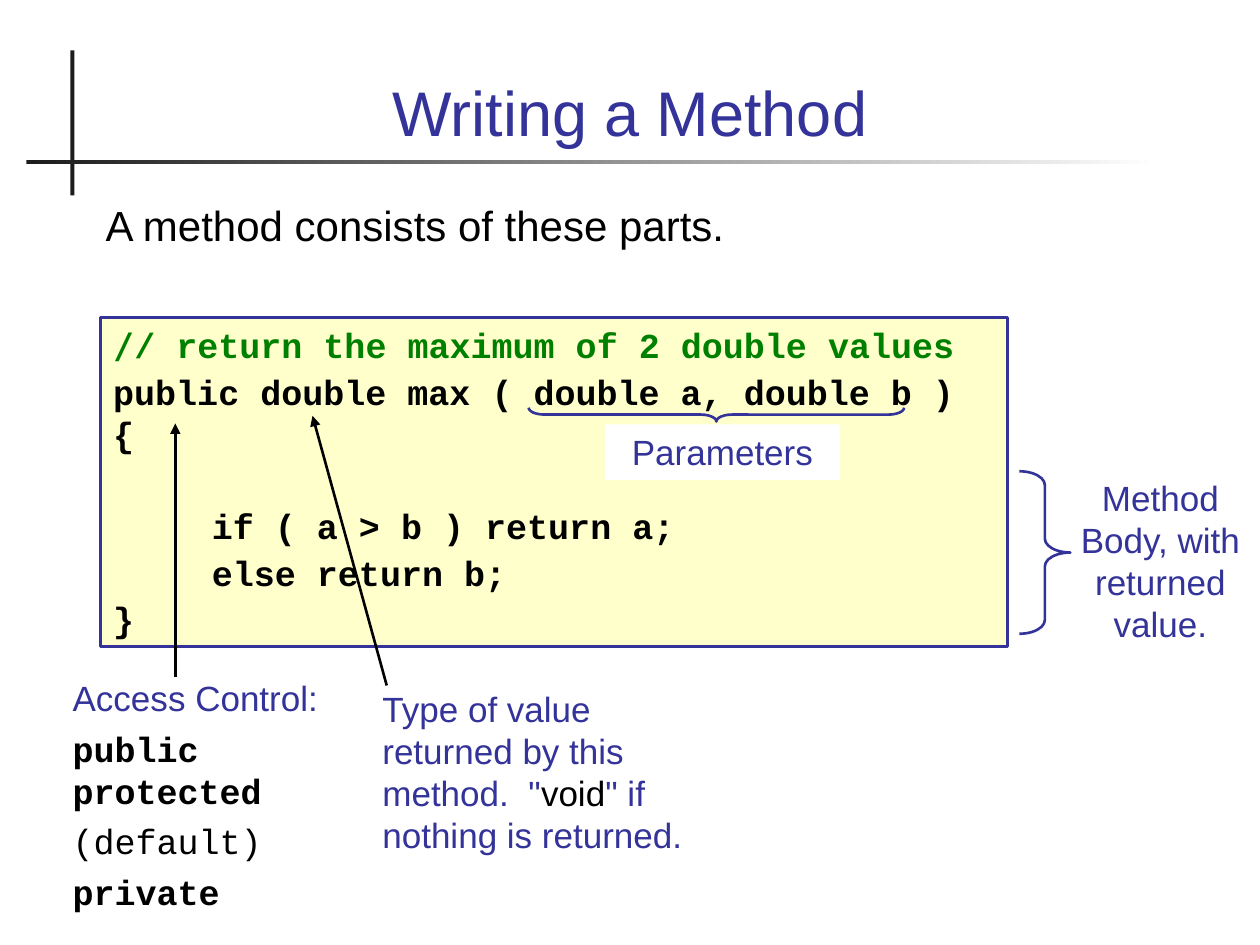
from lxml import etree
from pptx import Presentation
from pptx import util as u
from pptx.dml.color import RGBColor
from pptx.enum import dml, shapes, text
from pptx.oxml import ns

COLORS = {"blue": "333399", "black": "000000", "green": "008000",
          "cream": "FFFFCC", "white": "FFFFFF", "rule": "1C1C1C"}
Pt = u.Pt
RGB = {name: RGBColor.from_string(value) for name, value in COLORS.items()}
LEFT, CENTER = text.PP_ALIGN.LEFT, text.PP_ALIGN.CENTER
TAB_STOPS = (28.2, 56.4)

# Run formats
label = {"name": "Arial", "size": Pt(20), "bold": False, "color": "blue"}
label_black = {**label, "color": "black"}
title_format = {**label, "size": Pt(36)}
intro_format = {**label_black, "size": Pt(24)}
code = {"name": "Courier New", "size": Pt(20), "bold": True, "color": "black"}
code_plain = {**code, "bold": False}
comment = {**code, "color": "green"}
comment_slash = {**comment, "name": "DejaVu Sans Mono"}

presentation = Presentation()
presentation.slide_width, presentation.slide_height = Pt(720), Pt(540)
slide = presentation.slides.add_slide(presentation.slide_layouts[6])


def add_shape(kind, box, fill=None, line=None):
    shape = slide.shapes.add_shape(kind, *[Pt(value) for value in box])
    shape.shadow.inherit = False
    if fill:
        shape.fill.solid()
        shape.fill.fore_color.rgb = RGB[fill]
    else:
        shape.fill.background()
    if line:
        shape.line.color.rgb = RGB[line]
        shape.line.width = Pt(1.5)
    else:
        shape.line.fill.background()
    return shape


def write(shape, paragraphs, align=LEFT, gap=0, anchor=text.MSO_ANCHOR.TOP):
    """Each paragraph is a list of (text, format) runs; a newline is a line break."""
    frame = shape.text_frame
    frame.word_wrap = True
    frame.vertical_anchor = anchor
    for index, runs in enumerate(paragraphs):
        paragraph = frame.paragraphs[0] if index == 0 else frame.add_paragraph()
        paragraph.alignment = align
        paragraph.line_spacing = Pt(runs[0][1]["size"].pt * 1.2)
        paragraph.space_before = Pt(gap if index else 0)
        if runs[0][0].startswith("\t"):
            tabs = etree.SubElement(paragraph._p.get_or_add_pPr(), ns.qn("a:tabLst"))
            for stop in TAB_STOPS:
                etree.SubElement(tabs, ns.qn("a:tab"), pos=str(Pt(stop)), algn="l")
        for content, values in runs:
            for number, piece in enumerate(content.split("\n")):
                if number:
                    paragraph.add_line_break()
                run = paragraph.add_run()
                run.text = piece
                for key, value in values.items():
                    if key == "color":
                        run.font.color.rgb = RGB[value]
                    else:
                        setattr(run.font, key, value)
    return frame


# Crossed rules beside the title
rectangle = shapes.MSO_SHAPE.RECTANGLE
add_shape(rectangle, (40.3, 28.8, 2.2, 82.8), fill="rule")
fading_rule = add_shape(rectangle, (15.1, 91.4, 647.3, 2.2))
fading_rule.fill.gradient()
fading_rule.fill.gradient_angle = 0
for stop, color in zip(fading_rule.fill.gradient_stops, ("rule", "white")):
    stop.color.rgb = RGB[color]

# Title and introduction
title = slide.shapes.add_textbox(Pt(48.2), Pt(20.2), Pt(623.5), Pt(68.4))
write(title, [[("Writing a Method", title_format)]], CENTER,
      anchor=text.MSO_ANCHOR.BOTTOM)
intro = slide.shapes.add_textbox(Pt(53.3), Pt(110.5), Pt(623.5), Pt(63.4))
write(intro, [[("A method consists of these parts.", intro_format)]])

# Code panel
panel = add_shape(rectangle, (57.6, 181.5, 518, 188), "cream", "blue")
code_frame = write(panel, [
    [("/", comment_slash), ("/ return the maximum of 2 double values", comment)],
    [("public double max ( double a, double b ) {", code)],
    [("\t\tif ( a > b ) return a;", code)],
    [("\t\telse return b;", code)],
    [("}", code)],
], gap=2.5)
code_frame.paragraphs[2].space_before = Pt(29)

# Arrows from the explanations to the code
for ends in ((100.2, 386.6, 100.2, 242), (221, 391.7, 178.6, 237.6)):
    arrow = slide.shapes.add_connector(shapes.MSO_CONNECTOR.STRAIGHT,
                                       *[Pt(value) for value in ends])
    arrow.line.color.rgb = RGB["black"]
    arrow.line.width = Pt(1.5)
    etree.SubElement(arrow.line._get_or_add_ln(), ns.qn("a:tailEnd"), type="triangle")
    etree.SubElement(arrow._element.spPr, ns.qn("a:effectLst"))

# Explanations below the panel
access = slide.shapes.add_textbox(Pt(34.4), Pt(383), Pt(163.4), Pt(142.5))
write(access, [
    [("Access Control:", label)],
    [("public\nprotected", code)],
    [("(default)", code_plain)],
    [("private", code)],
], gap=5)
return_type = slide.shapes.add_textbox(Pt(211.4), Pt(389.2), Pt(205.2), Pt(103.7))
write(return_type, [[("Type of value returned by this method.  \"", label),
                     ("void", label_black),
                     ("\" if nothing is returned.", label)]])

# Braces for the parameters and the body
for box, rotation, curve in (((405.4, 129.6, 7.9, 214.6), 90, 1.13),
                             ((582.5, 269.3, 29.2, 92.9), 0, 0.27)):
    brace = add_shape(shapes.MSO_SHAPE.RIGHT_BRACE, box, line="blue")
    brace.rotation = rotation
    brace.adjustments[0] = curve

# Brace labels
parameters = add_shape(rectangle, (345.6, 242.6, 134.6, 31.7), fill="white")
write(parameters, [[("Parameters", label)]], CENTER)
body = slide.shapes.add_textbox(Pt(606.2), Pt(268.6), Pt(113.8), Pt(103.7))
write(body, [[("Method Body, with returned value.", label)]], CENTER)

presentation.save("out.pptx")
